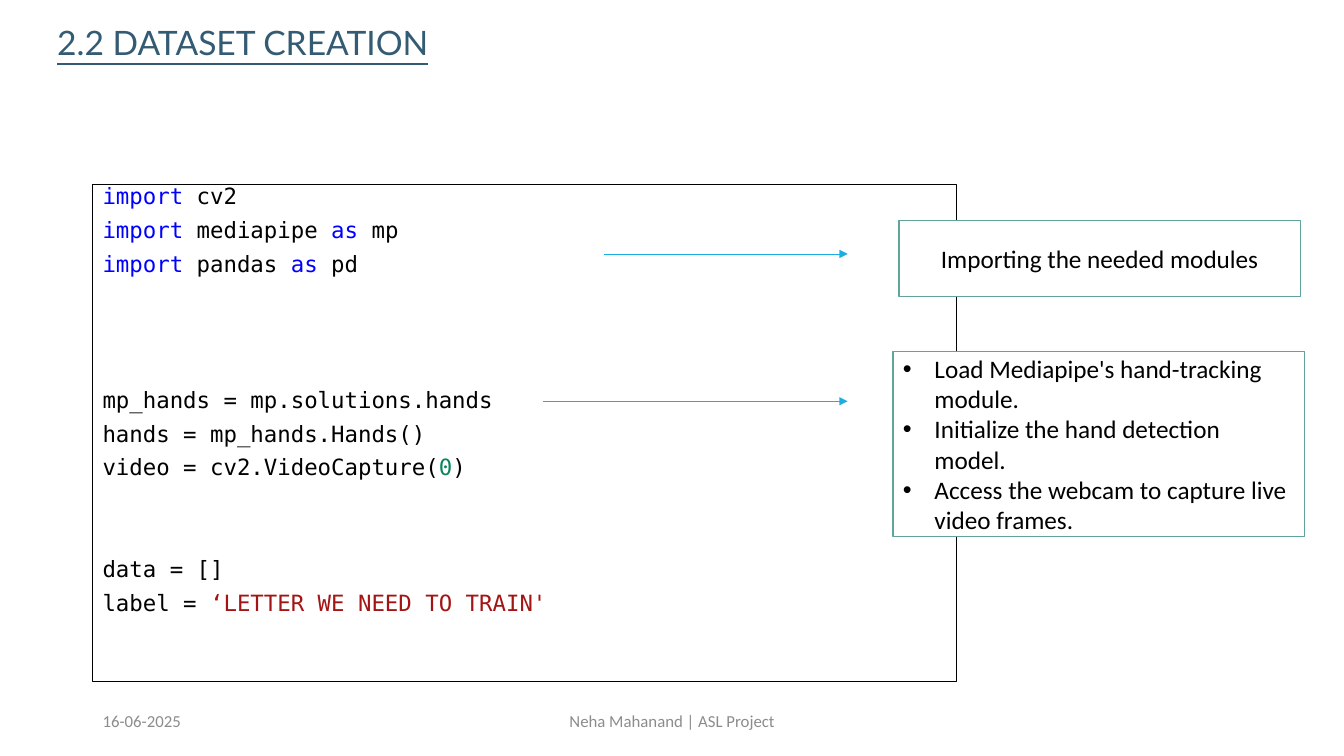
from lxml import etree
from pptx import Presentation
from pptx.dml import color
from pptx.enum import shapes, text
from pptx.oxml import ns
from pptx.util import Pt

BLACK, WHITE, GREY = "000000", "FFFFFF", "8C8C8C"
KEYWORD, NUMBER, STRING = "0000FF", "098658", "A31515"
CODE_LEADING, CODE_SPACE = 14.2, 10

CODE_BLOCKS = [
    (0, [
        [("import", KEYWORD), (" cv2", BLACK)],
        [("import ", KEYWORD), ("mediapipe ", BLACK), ("as ", KEYWORD), ("mp", BLACK)],
        [("import", KEYWORD), (" pandas ", BLACK), ("as", KEYWORD), (" pd", BLACK)],
    ]),
    (3, [
        [("mp_hands = mp.solutions.hands", BLACK)],
        [("hands = mp_hands.Hands()", BLACK)],
        [("video = cv2.VideoCapture(", BLACK), ("0", NUMBER), (")", BLACK)],
    ]),
    (2, [
        [("data = []", BLACK)],
        [("label = ", BLACK), ("‘LETTER WE NEED TO TRAIN'", STRING)],
    ]),
]
HAND_STEPS = [
    "Load Mediapipe's hand-tracking module.",
    "Initialize the hand detection model.",
    "Access the webcam to capture live video frames.",
]


def rgb(value):
    return color.RGBColor.from_string(value)


def add_run(paragraph, content, size=18, font="Calibri", fill=BLACK, underline=None):
    run = paragraph.add_run()
    run.text = content
    run.font.size = Pt(size)
    run.font.name = font
    run.font.color.rgb = rgb(fill)
    run.font.underline = underline


class SlideBuilder:
    def __init__(self, slide, accent="62A39F", arrow_color="1CADE4"):
        self.slide = slide
        self.accent = accent
        self.arrow_color = arrow_color

    def frame(self, shape, anchor=text.MSO_ANCHOR.MIDDLE):
        frame = shape.text_frame
        frame.word_wrap = True
        frame.vertical_anchor = anchor
        return frame

    def label(self, content, left, top, width, height,
              align=text.PP_ALIGN.LEFT, spacing=1.0, **style):
        shape = self.slide.shapes.add_textbox(Pt(left), Pt(top), Pt(width), Pt(height))
        paragraph = self.frame(shape).paragraphs[0]
        paragraph.alignment = align
        paragraph.line_spacing = spacing
        add_run(paragraph, content, **style)

    def box(self, left, top, width, height, outline):
        shape = self.slide.shapes.add_shape(
            shapes.MSO_SHAPE.RECTANGLE, Pt(left), Pt(top), Pt(width), Pt(height))
        shape.shadow.inherit = False
        shape.fill.solid()
        shape.fill.fore_color.rgb = rgb(WHITE)
        shape.line.color.rgb = rgb(outline)
        shape.line.width = Pt(1)
        return shape

    def code(self, blocks, *bounds):
        frame = self.frame(self.box(*bounds, BLACK), text.MSO_ANCHOR.TOP)
        paragraph = None
        for gap_lines, lines in blocks:
            for index, line in enumerate(lines):
                paragraph = frame.add_paragraph() if paragraph else frame.paragraphs[0]
                paragraph.alignment = text.PP_ALIGN.LEFT
                paragraph.line_spacing = Pt(CODE_LEADING)
                skipped = gap_lines if index == 0 else 0
                paragraph.space_before = Pt(
                    CODE_SPACE + skipped * (CODE_LEADING + CODE_SPACE))
                for content, fill in line:
                    add_run(paragraph, content, size=16,
                            font="DejaVu Sans Mono", fill=fill)

    def note(self, lines, *bounds, bulleted=False):
        frame = self.frame(self.box(*bounds, self.accent))
        for index, line in enumerate(lines):
            paragraph = frame.add_paragraph() if index else frame.paragraphs[0]
            paragraph.alignment = text.PP_ALIGN.CENTER
            if bulleted:
                paragraph.alignment = text.PP_ALIGN.LEFT
                self.bullet(paragraph)
            add_run(paragraph, line)

    def bullet(self, paragraph, indent=22.5):
        properties = paragraph._p.get_or_add_pPr()
        properties.set("marL", str(Pt(indent)))
        properties.set("indent", str(-Pt(indent)))
        etree.SubElement(properties, ns.qn("a:buFont"), typeface="Arial")
        etree.SubElement(properties, ns.qn("a:buChar"), char="•")

    def arrow(self, start, end, top):
        connector = self.slide.shapes.add_connector(
            shapes.MSO_CONNECTOR.STRAIGHT, Pt(start), Pt(top), Pt(end), Pt(top))
        connector.line.color.rgb = rgb(self.arrow_color)
        connector.line.width = Pt(0.5)
        etree.SubElement(connector.line._get_or_add_ln(), ns.qn("a:tailEnd"),
                         type="triangle")
        etree.SubElement(connector._element.spPr, ns.qn("a:effectLst"))


def main():
    presentation = Presentation()
    presentation.slide_width, presentation.slide_height = Pt(960), Pt(540)
    slide = presentation.slides.add_slide(presentation.slide_layouts[6])
    builder = SlideBuilder(slide)

    builder.label("2.2 DATASET CREATION", 33.8, 5, 828, 54, spacing=0.9,
                  size=24, font="Lato", fill="335B74", underline=True)
    builder.code(CODE_BLOCKS, 66.2, 131.8, 617, 355)
    builder.label("16-06-2025", 66.2, 500.4, 216, 28.8, size=12, fill=GREY)
    builder.label("Neha Mahanand | ASL Project", 318.2, 500.4, 324, 28.8,
                  align=text.PP_ALIGN.CENTER, size=12, fill=GREY)
    builder.note(["Importing the needed modules"], 642.2, 157.7, 286.6, 54)
    builder.note(HAND_STEPS, 637.9, 251.3, 293.8, 131.8, bulleted=True)
    for start, top in [(431.3, 181.4), (388.1, 286.6)]:
        builder.arrow(start, 605.5, top)

    presentation.save("out.pptx")


if __name__ == "__main__":
    main()
